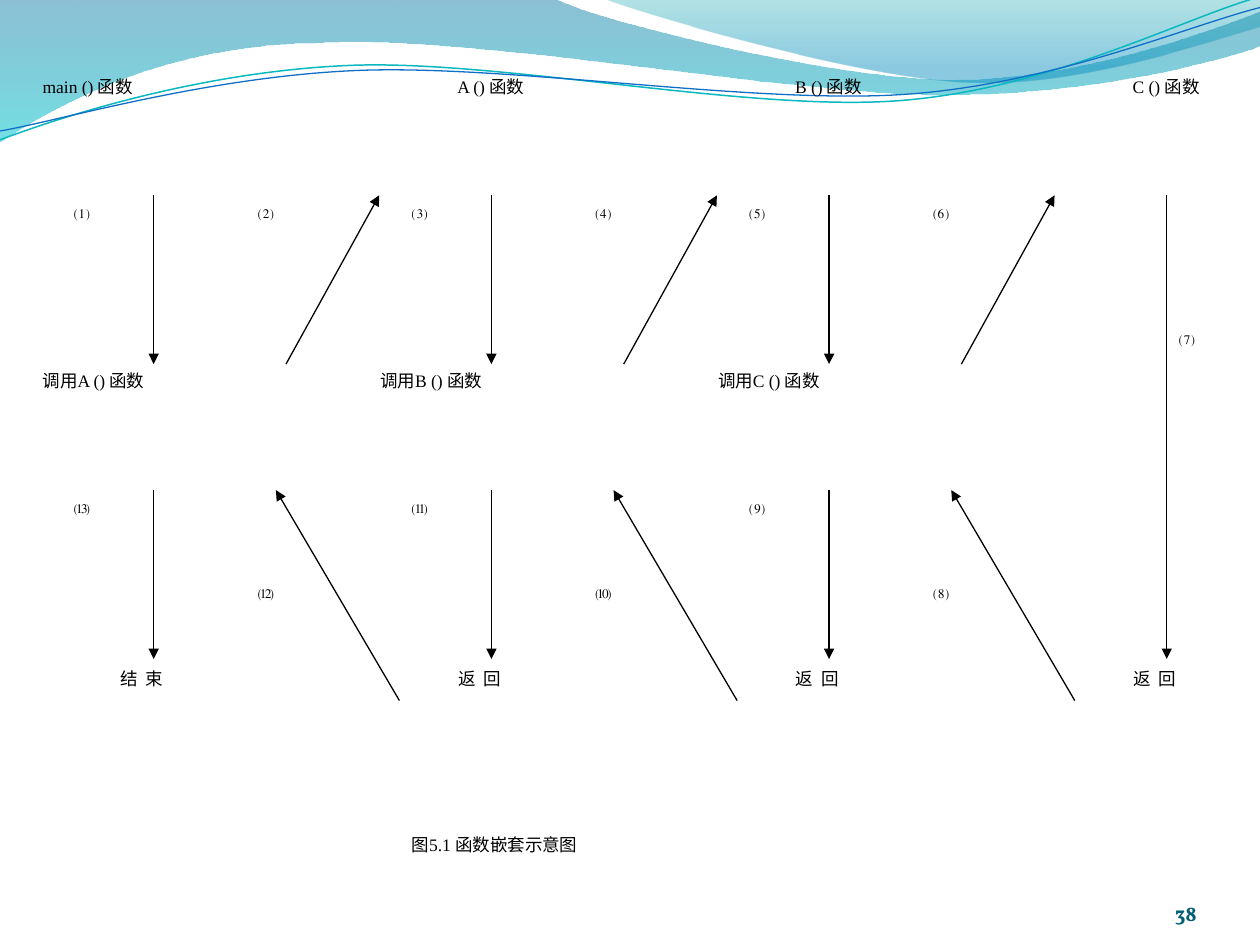
from dataclasses import dataclass

from lxml.etree import SubElement
from pptx import Presentation
from pptx.dml.color import RGBColor
from pptx.enum.shapes import MSO_CONNECTOR as Connector
from pptx.enum.text import MSO_ANCHOR as Anchor, PP_ALIGN as Align
from pptx.oxml.ns import qn
from pptx.util import Inches, Pt


@dataclass(frozen=True)
class Theme:
    ink: str = "000000"
    number: str = "045D75"
    teal_line: str = "0AB8BF"
    blue_line: str = "0F6FC6"
    # Gradient stops: position, colour, opacity in percent
    left_wave: tuple = ((0, "0074A1", 45), (1, "00C6CF", 55))
    right_wave: tuple = ((0, "00A1A9", 30), (0.8, "008BBF", 45))
    body_font: str = "Times New Roman"
    number_font: str = "Vollkorn"
    body_size: float = 10
    number_size: float = 12
    arrow_width: float = 0.75


class Painter:
    def __init__(self, page, theme):
        self.page = page
        self.theme = theme

    def outline(self, start, segments, close):
        """Draw line (2 numbers) and cubic (6 numbers) segments."""
        anchors = [(Inches(x), Inches(y))
                   for x, y in [start] + [segment[-2:] for segment in segments]]
        builder = self.page.shapes.build_freeform(*anchors[0])
        builder.add_line_segments(anchors[1:], close=close)
        shape = builder.convert_to_shape()
        shape.shadow.inherit = False

        # Swap the straight segments for cubic curves
        track = next(shape.element.spPr.iter(qn("a:path")))
        for child in list(track):
            track.remove(child)
        for segment in [start, *segments]:
            tag = "a:cubicBezTo" if len(segment) == 6 else "a:lnTo"
            command = SubElement(track, qn(tag if len(track) else "a:moveTo"))
            for x, y in zip(segment[::2], segment[1::2]):
                SubElement(command, qn("a:pt"), x=str(Inches(x) - shape.left),
                           y=str(Inches(y) - shape.top))
        if close:
            SubElement(track, qn("a:close"))
        return shape

    def wave(self, start, segments, stops):
        shape = self.outline(start, segments, close=True)
        shape.line.fill.background()
        shape.fill.gradient()
        shape.fill.gradient_angle = 270
        for stop, (position, color, _) in zip(shape.fill.gradient_stops, stops):
            stop.position = position
            stop.color.rgb = RGBColor.from_string(color)
        colors = shape.element.spPr.iter(qn("a:srgbClr"))
        for color, (_, _, opacity) in zip(colors, stops):
            SubElement(color, qn("a:alpha"), val=str(opacity * 1000))

    def curve(self, start, segments, color, width):
        shape = self.outline(start, segments, close=False)
        shape.fill.background()
        shape.line.color.rgb = RGBColor.from_string(color)
        shape.line.width = Pt(width)

    def arrow(self, x1, y1, x2, y2):
        line = self.page.shapes.add_connector(
            Connector.STRAIGHT, *(Inches(v) for v in (x1, y1, x2, y2)))
        line.line.color.rgb = RGBColor.from_string(self.theme.ink)
        line.line.width = Pt(self.theme.arrow_width)
        SubElement(line.element.spPr.find(qn("a:ln")), qn("a:tailEnd"), type="triangle")
        SubElement(line.element.spPr, qn("a:effectLst"))

    def text(self, words, x, y, width, height=0.29, align=Align.JUSTIFY,
             spacing=0, frame_format=None, **font_format):
        box = self.page.shapes.add_textbox(*(Inches(v) for v in (x, y, width, height)))
        for name, value in {"word_wrap": True, **(frame_format or {})}.items():
            setattr(box.text_frame, name, value)
        para = box.text_frame.paragraphs[0]
        para.alignment = align
        span = para.add_run()
        span.text = words
        color = font_format.pop("color", self.theme.ink)
        span.font.color.rgb = RGBColor.from_string(color)
        style = {"name": self.theme.body_font, "size": Pt(self.theme.body_size)}
        for name, value in {**style, **font_format}.items():
            setattr(span.font, name, value)
        if spacing:
            span.font._element.set("spc", str(round(spacing * 100)))


def draw_background(painter):
    theme = painter.theme
    painter.wave((0, -0.01), [
        (4.4, -0.01), (4.76, 0.17, 6.64, 0.63, 7.58, 0.63),
        (8.53, 0.63, 9.58, 0.26, 10, 0.09), (10.01, 0.36),
        (9.83, 0.44, 8.7, 0.76, 7.46, 0.75), (6.22, 0.75, 3.82, 0.28, 2.57, 0.34),
        (1.29, 0.35, 0.46, 0.83, -0.01, 1.13), (0, -0.01)], theme.left_wave)
    painter.wave((4.79, -0.01), [
        (5.09, 0.11, 6.82, 0.62, 7.69, 0.65), (8.56, 0.69, 9.61, 0.32, 10, 0.21),
        (10, 0), (4.79, -0.01)], theme.right_wave)
    painter.curve((0, 1.11), [
        (0.48, 0.93, 1.58, 0.57, 2.77, 0.52), (3.95, 0.47, 5.93, 0.89, 7.13, 0.8),
        (8.33, 0.71, 9.38, 0.15, 9.98, -0.02)], theme.teal_line, 0.85)
    painter.curve((0, 1.04), [
        (0.47, 0.96, 1.64, 0.61, 2.83, 0.56), (4.03, 0.51, 5.97, 0.83, 7.17, 0.75),
        (8.36, 0.67, 9.41, 0.21, 10, 0.06)], theme.blue_line, 0.75)


def draw_calls(painter):
    first_axis, pitch = 1.22, 2.68
    top, call, resume, finish = 1.55, 2.89, 3.89, 5.23
    # Function, callee, then step numbers: run, call, resume, come back
    columns = [
        ("main", "A", "⑴⑵⒀⑿", "结 束"),
        ("A", "B", "⑶⑷⑾⑽", "返 回"),
        ("B", "C", "⑸⑹⑼⑻", "返 回"),
        ("C", None, "⑺", "返 回"),
    ]
    for index, (name, callee, steps, ending) in enumerate(columns):
        axis = first_axis + index * pitch
        painter.text(f"{name} () 函数", axis - 0.98, 0.55, 1.95,
                     align=Align.CENTER if index else Align.JUSTIFY)
        painter.text(ending, axis - 1.19, 5.25, 2.19, align=Align.CENTER, spacing=1.1)

        # The innermost function runs straight through
        if callee is None:
            painter.arrow(axis, top, axis, finish)
            painter.text(steps, axis, 2.55, 0.73, 1)
            continue

        painter.text(f"调用{callee} () 函数", axis - 0.98, call, 2.19)
        painter.arrow(axis, top, axis, call)
        painter.arrow(axis, resume, axis, finish)
        painter.arrow(axis + 1.05, call, axis + 1.79, top)
        painter.arrow(axis + 1.95, 5.56, axis + 0.97, resume)
        places = [(-0.73, top), (0.73, top), (-0.73, resume), (0.73, 4.56)]
        for step, (shift, y) in zip(steps, places):
            painter.text(step, axis + shift, y, 0.73, 1)


def main():
    deck = Presentation()
    deck.slide_width, deck.slide_height = Inches(10), Inches(7.5)
    theme = Theme()
    painter = Painter(deck.slides.add_slide(deck.slide_layouts[6]), theme)

    draw_background(painter)
    draw_calls(painter)

    # Caption and page number
    painter.text("图5.1 函数嵌套示意图", 3.17, 6.57, 3.33)
    flush = dict.fromkeys(
        ("margin_left", "margin_right", "margin_top", "margin_bottom"), 0)
    painter.text("38", 8.67, 6.95, 0.83, 0.4, Align.RIGHT,
                 frame_format={**flush, "vertical_anchor": Anchor.BOTTOM},
                 name=theme.number_font, size=Pt(theme.number_size),
                 color=theme.number, bold=True)

    deck.save("out.pptx")


if __name__ == "__main__":
    main()
